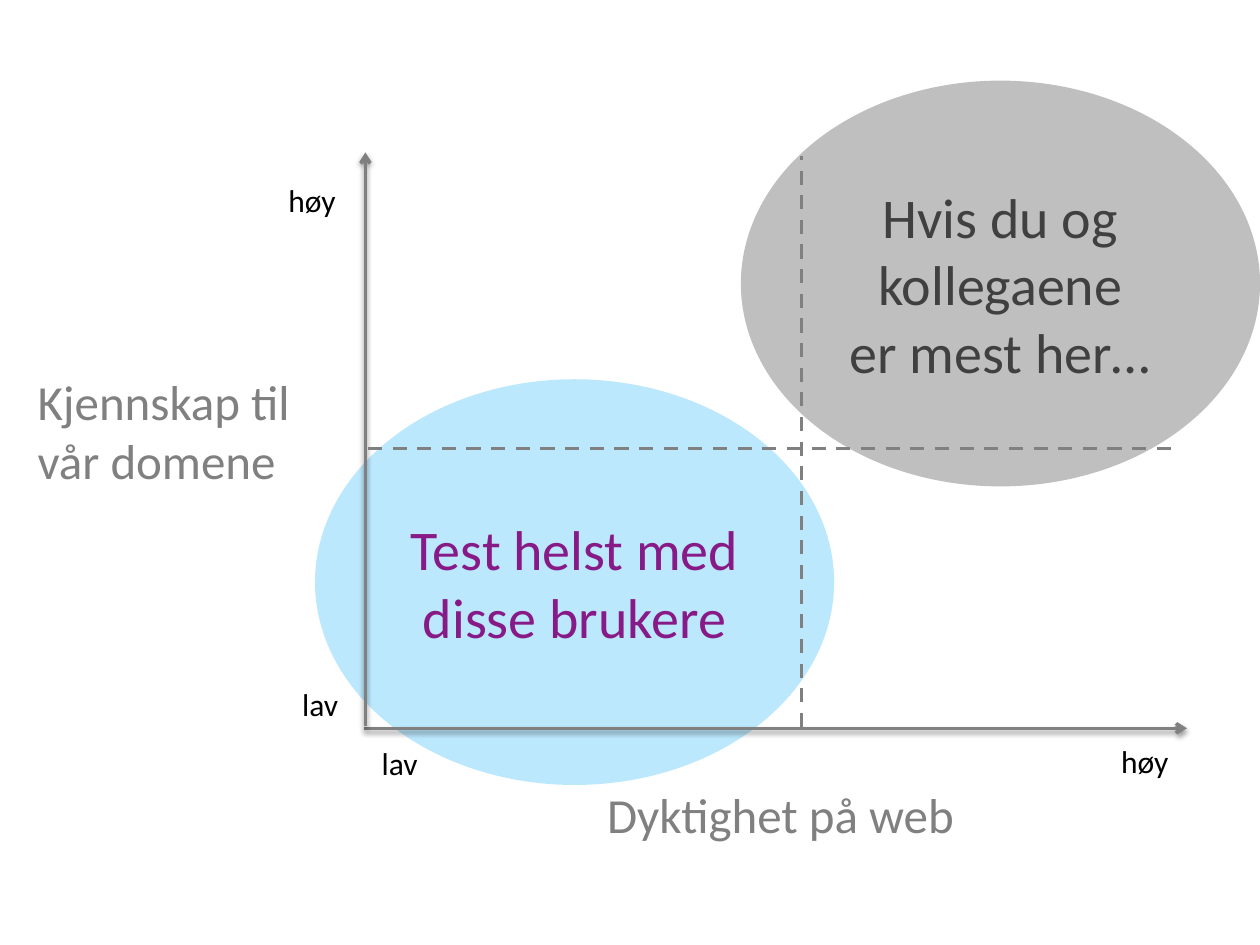
from dataclasses import dataclass

from lxml.etree import SubElement
from pptx import Presentation
from pptx.dml.color import RGBColor
from pptx.enum.dml import MSO_LINE
from pptx.enum.shapes import MSO_CONNECTOR, MSO_SHAPE
from pptx.enum.text import MSO_ANCHOR, MSO_AUTO_SIZE, PP_ALIGN
from pptx.oxml.ns import qn
from pptx.slide import Slide
from pptx.text.text import TextFrame
from pptx.util import Inches, Pt

FONT = "Calibri"
BLACK = RGBColor(0x00, 0x00, 0x00)
GRAY = RGBColor(0x80, 0x80, 0x80)
DARK_GRAY = RGBColor(0x40, 0x40, 0x40)
LIGHT_GRAY = RGBColor(0xBF, 0xBF, 0xBF)
LIGHT_BLUE = RGBColor(0xBC, 0xE8, 0xFD)
PURPLE = RGBColor(0x88, 0x1A, 0x87)

GROUP_WIDTH, GROUP_HEIGHT = 4.12, 3.22


@dataclass(frozen=True)
class UserGroup:
    left: float
    top: float
    fill: RGBColor
    color: RGBColor
    lines: tuple[str, ...]


@dataclass(frozen=True)
class Label:
    text: str
    left: float
    top: float
    width: float
    height: float = 0.4
    size: int = 18
    color: RGBColor = BLACK
    wrap: bool = False


@dataclass(frozen=True)
class Rule:
    start: tuple[float, float]
    end: tuple[float, float]
    is_axis: bool


GROUPS = (
    UserGroup(5.88, 0.64, LIGHT_GRAY, DARK_GRAY,
              ("Hvis du og", "kollegaene", "er mest her…")),
    UserGroup(2.5, 3.01, LIGHT_BLUE, PURPLE,
              ("Test helst med disse brukere",)),
)
LABELS = (
    Label("Kjennskap til vår domene", 0.2, 2.9, 2.61, 1.04, 28, GRAY, True),
    Label("Dyktighet på web", 4.72, 6.18, 3.38, 0.57, 28, GRAY, True),
    Label("høy", 2.19, 1.39, 0.58),
    Label("lav", 2.3, 5.39, 0.49),
    Label("lav", 2.93, 5.86, 0.49),
    Label("høy", 8.8, 5.84, 0.58),
)
RULES = (
    Rule((2.89, 5.78), (9.42, 5.78), True),
    Rule((2.9, 5.76), (2.9, 1.21), True),
    Rule((2.92, 3.56), (9.34, 3.56), False),
    Rule((6.36, 5.77), (6.36, 1.24), False),
)


def write(frame: TextFrame, lines: tuple[str, ...], size: int,
          color: RGBColor, align: PP_ALIGN) -> None:
    for index, line in enumerate(lines):
        para = frame.add_paragraph() if index else frame.paragraphs[0]
        para.alignment = align
        span = para.add_run()
        span.text = line
        span.font.name = FONT
        span.font.size = Pt(size)
        span.font.color.rgb = color


def draw_group(page: Slide, group: UserGroup) -> None:
    ellipse = page.shapes.add_shape(
        MSO_SHAPE.OVAL, Inches(group.left), Inches(group.top),
        Inches(GROUP_WIDTH), Inches(GROUP_HEIGHT))
    ellipse.shadow.inherit = False
    ellipse.fill.solid()
    ellipse.fill.fore_color.rgb = group.fill
    ellipse.line.fill.background()
    frame = ellipse.text_frame
    frame.word_wrap = True
    frame.vertical_anchor = MSO_ANCHOR.MIDDLE
    write(frame, group.lines, 32, group.color, PP_ALIGN.CENTER)


def draw_label(page: Slide, label: Label) -> None:
    box = page.shapes.add_textbox(
        Inches(label.left), Inches(label.top),
        Inches(label.width), Inches(label.height))
    frame = box.text_frame
    frame.word_wrap = label.wrap
    frame.auto_size = MSO_AUTO_SIZE.SHAPE_TO_FIT_TEXT
    write(frame, (label.text,), label.size, label.color, PP_ALIGN.LEFT)


def draw_rule(page: Slide, rule: Rule) -> None:
    connector = page.shapes.add_connector(
        MSO_CONNECTOR.STRAIGHT,
        *(Inches(value) for value in rule.start + rule.end))
    line = connector.line
    line.color.rgb = GRAY
    line.width = Pt(2)
    properties = connector.element.spPr
    effects = SubElement(properties, qn("a:effectLst"))
    if not rule.is_axis:
        line.dash_style = MSO_LINE.DASH
        return
    SubElement(properties.find(qn("a:ln")), qn("a:tailEnd"), type="arrow")
    shadow = SubElement(
        effects, qn("a:outerShdw"), blurRad=str(Pt(3.1)),
        dist=str(Pt(1.6)), dir="5400000", rotWithShape="0")
    tint = SubElement(shadow, qn("a:srgbClr"), val=str(BLACK))
    SubElement(tint, qn("a:alpha"), val="38000")


def main() -> None:
    deck = Presentation()
    deck.slide_width, deck.slide_height = Inches(10), Inches(7.5)
    page = deck.slides.add_slide(deck.slide_layouts[6])
    for group in GROUPS:
        draw_group(page, group)
    for label in LABELS:
        draw_label(page, label)
    for rule in RULES:
        draw_rule(page, rule)
    deck.save("out.pptx")


if __name__ == "__main__":
    main()
